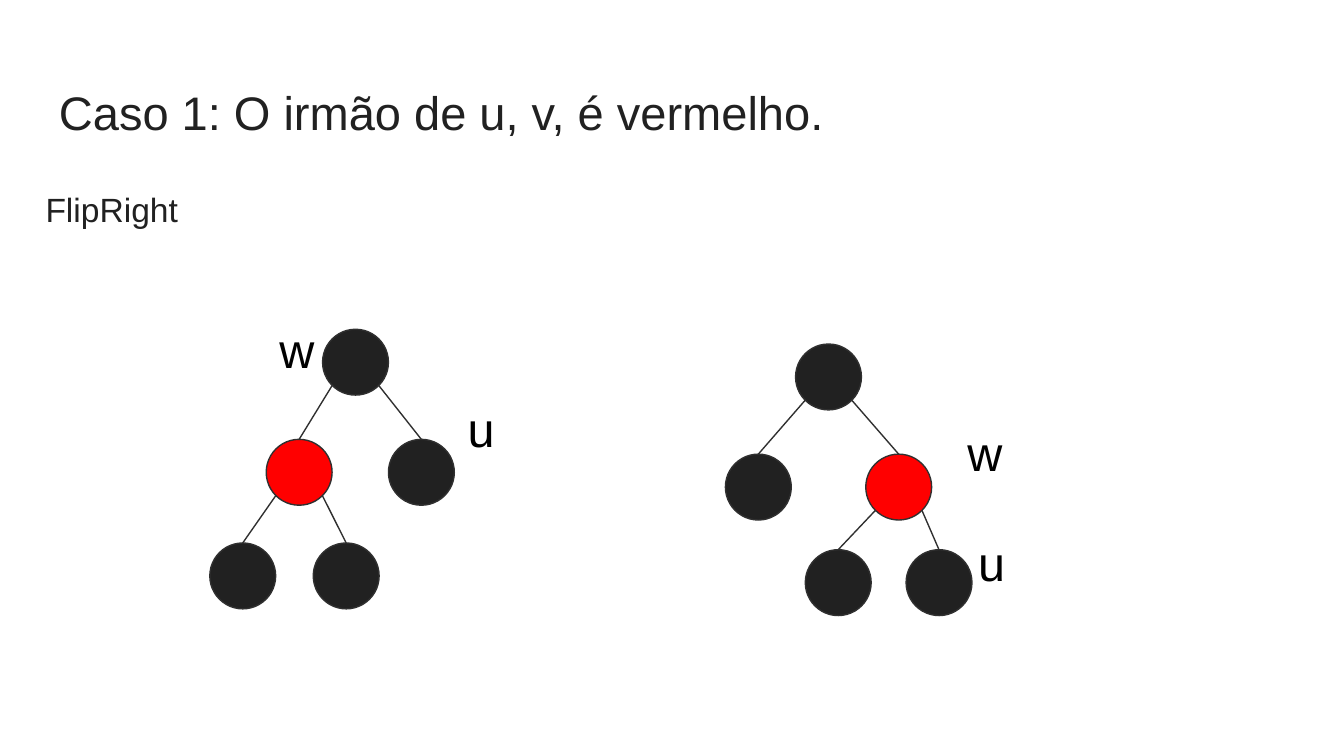
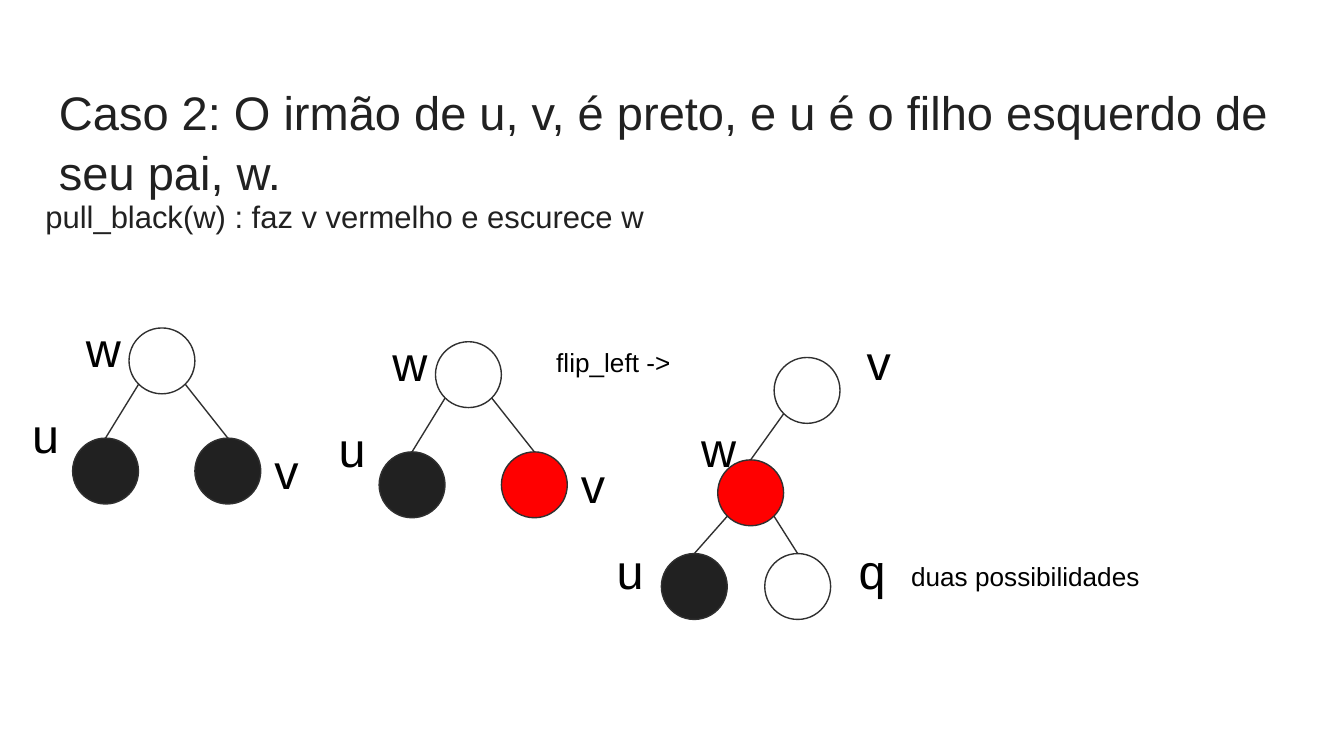
from lxml.etree import SubElement
from pptx import Presentation
from pptx.dml.color import RGBColor
from pptx.enum.shapes import MSO_CONNECTOR, MSO_SHAPE
from pptx.enum.text import MSO_ANCHOR, MSO_AUTO_SIZE
from pptx.oxml.ns import qn
from pptx.util import Pt

# Shared look
COLORS = {"black": "212121", "red": "FF0000", "white": "FFFFFF",
          "line": "303030", "text": "212121", "label": "000000"}
STYLES = {
    "title": {"font": {"size": 25.2, "color": "text"}, "para": {"line_spacing": 1.07}},
    "flip": {"font": {"size": 18, "color": "text"},
             "para": {"line_spacing": 0.95, "space_after": Pt(12)}},
    "pull": {"font": {"size": 16.6, "color": "text"},
             "para": {"line_spacing": 1.15, "space_after": Pt(12)}},
    "label": {"font": {"size": 26, "color": "label"}, "para": {}},
    "note": {"font": {"size": 14, "color": "label"}, "para": {}},
}
FRAME = {"word_wrap": True, "vertical_anchor": MSO_ANCHOR.TOP,
         "margin_left": Pt(7.2), "margin_right": Pt(7.2),
         "margin_top": Pt(7.2), "margin_bottom": Pt(7.2)}
SIZE = (720, 405)
TITLE = (24.5, 35.3, 671, 45.4)
LABEL = (23.8, 46.1)
NODE = 35.3
LINE = 0.75
ARC = 0.5 ** 0.5  # edges leave a node at 45 degrees


# Content: a node is (color, [(dx, dy, child), ...]), steps taken from its parent
def leaf(color):
    return (color, [])


def pair(left, right):
    return ("white", [(-30.2, 59, leaf(left)), (35.3, 59, leaf(right))])


def red(left, right, other="black"):
    return ("red", [(*left, leaf("black")), (*right, leaf(other))])


# Labels are (text, dx, dy), steps taken from the root
TRIO = [("w", -30.2, -12), ("u", -59, 34), ("v", 70.8, 53.5)]

SLIDES = [
    {"title": "Caso 1: O irmão de u, v, é vermelho.",
     "body": ("FlipRight", "flip", (17.3, 95.8, 286.6, 35.3)),
     "trees": [
         {"at": (172.8, 176.4),
          "root": ("black", [(-30.2, 59, red((-30.2, 55.5), (25.2, 55.5))),
                             (35.3, 59, leaf("black"))]),
          "labels": [("w", -30.2, -12), ("u", 70.6, 30.2)]},
         {"at": (426.2, 184.3),
          "root": ("black", [(-37.6, 59, leaf("black")),
                             (37.6, 59, red((-32.4, 51.2), (21.6, 51.2)))]),
          "labels": [("w", 85, 35.3), ("u", 90.7, 94.3)]},
     ],
     "notes": []},
    {"title": "Caso 2: O irmão de u, v, é preto, e u é o filho esquerdo de seu pai, w.",
     "body": ("pull_black(w) : faz v vermelho e escurece w", "pull",
              (17.3, 95.8, 342.7, 50.4)),
     "trees": [
         {"at": (69.1, 175.7), "root": pair("black", "black"), "labels": TRIO},
         {"at": (233.3, 183.1), "root": pair("black", "red"), "labels": TRIO},
         {"at": (414.7, 191.5),
          "root": ("white", [(-30.2, 54.9, red((-30.2, 50.2), (25.2, 50.2), "white"))]),
          "labels": [("v", 42.5, -20.9), ("w", -46.1, 25.9),
                     ("u", -91.4, 91.4), ("q", 38.2, 91.4)]},
     ],
     "notes": [("flip_left ->", (290.9, 178.6, 101.5, 31.7)),
               ("duas possibilidades", (481, 293, 149, 31.7))]},
]


def tint(name):
    return RGBColor.from_string(COLORS[name])


def write(slide, text, style, box, grow=False):
    frame = slide.shapes.add_textbox(*map(Pt, box)).text_frame
    for key, val in FRAME.items():
        setattr(frame, key, val)
    frame.auto_size = MSO_AUTO_SIZE.SHAPE_TO_FIT_TEXT if grow else MSO_AUTO_SIZE.NONE
    para = frame.paragraphs[0]
    for key, val in STYLES[style]["para"].items():
        setattr(para, key, val)
    run = para.add_run()
    run.text = text
    look = STYLES[style]["font"]
    for key, val in {"name": "Arial", "size": Pt(look["size"])}.items():
        setattr(run.font, key, val)
    run.font.color.rgb = tint(look["color"])


def outline(shape):
    shape.line.color.rgb = tint("line")
    shape.line.width = Pt(LINE)


def edge(slide, start, end):
    line = slide.shapes.add_connector(MSO_CONNECTOR.STRAIGHT, *map(Pt, (*start, *end)))
    outline(line)
    SubElement(line._element.spPr, qn("a:effectLst"))


def grow(slide, node, x, y):
    color, kids = node
    half = NODE / 2
    for dx, dy, kid in kids:
        side = -ARC if dx < 0 else ARC
        start = (x + half * (1 + side), y + half * (1 + ARC))
        edge(slide, start, (x + dx + half, y + dy))
        grow(slide, kid, x + dx, y + dy)
    disc = slide.shapes.add_shape(MSO_SHAPE.OVAL, *map(Pt, (x, y, NODE, NODE)))
    disc.shadow.inherit = False
    disc.fill.solid()
    disc.fill.fore_color.rgb = tint(color)
    outline(disc)


def main():
    deck = Presentation()
    deck.slide_width, deck.slide_height = map(Pt, SIZE)
    for page in SLIDES:
        slide = deck.slides.add_slide(deck.slide_layouts[6])
        slide.background.fill.solid()
        slide.background.fill.fore_color.rgb = tint("white")
        # Headings
        write(slide, page["title"], "title", TITLE)
        write(slide, *page["body"])
        # Trees and their labels
        for tree in page["trees"]:
            x, y = tree["at"]
            grow(slide, tree["root"], x, y)
            for text, dx, dy in tree["labels"]:
                write(slide, text, "label", (x + dx, y + dy, *LABEL), True)
        # Notes
        for text, box in page["notes"]:
            write(slide, text, "note", box, True)
    deck.save("out.pptx")


if __name__ == "__main__":
    main()
